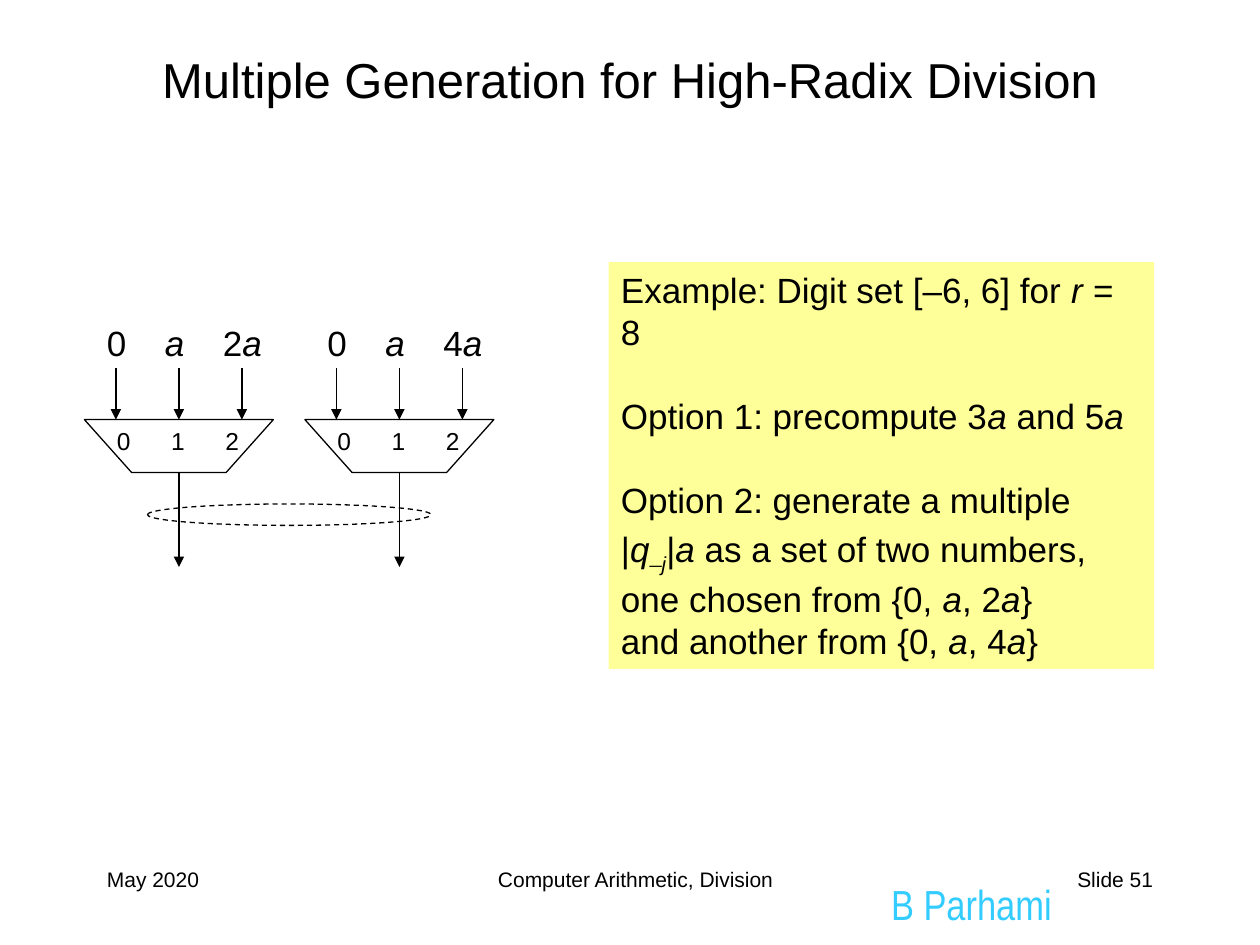
from dataclasses import dataclass
from typing import NamedTuple

from lxml import etree
from pptx import Presentation
from pptx.dml.color import RGBColor
from pptx.enum.dml import MSO_LINE
from pptx.enum.shapes import MSO_CONNECTOR, MSO_SHAPE
from pptx.enum.text import MSO_ANCHOR, PP_ALIGN
from pptx.oxml.ns import qn
from pptx.util import Inches, Pt

LEFT, CENTER, RIGHT = PP_ALIGN.LEFT, PP_ALIGN.CENTER, PP_ALIGN.RIGHT
TOP, MIDDLE = MSO_ANCHOR.TOP, MSO_ANCHOR.MIDDLE
STRAIGHT, OVAL, DASH = MSO_CONNECTOR.STRAIGHT, MSO_SHAPE.OVAL, MSO_LINE.DASH


@dataclass(frozen=True)
class Theme:
    ink: RGBColor = RGBColor(0x00, 0x00, 0x00)
    paper: RGBColor = RGBColor(0xFF, 0xFF, 0xFF)
    panel: RGBColor = RGBColor(0xFF, 0xFF, 0x99)
    author: RGBColor = RGBColor(0x33, 0xCC, 0xFF)
    font: str = "Arial"
    narrow_font: str = "Arial Narrow"
    symbol_font: str = "Times New Roman"
    title: float = 28
    author_size: float = 24
    symbol: float = 24
    body: float = 20
    port: float = 14
    footer: float = 12
    line: float = 0.75
    blank_line: float = 24


THEME = Theme()


class Run(NamedTuple):
    text: str
    italic: bool = False
    subscript: bool = False
    size: float | None = None
    font: str | None = None


class Para(NamedTuple):
    runs: list[Run]
    space_before: float = 0


class Mux(NamedTuple):
    left: float
    inputs: str


class Footer(NamedTuple):
    text: str
    left: float
    width: float
    align: PP_ALIGN


def rich(marked: str) -> list[Run]:
    """Split text into runs; parts between asterisks are italic."""
    return [Run(part, italic=i % 2 == 1)
            for i, part in enumerate(marked.split("*")) if part]


def add_text(slide, paras: list[Para], left: float, top: float, width: float,
             height: float, *, size: float, font: str = THEME.font,
             color: RGBColor = THEME.ink, align: PP_ALIGN = LEFT,
             anchor: MSO_ANCHOR = TOP, fill: RGBColor | None = None,
             tab_pitch: float = 0) -> None:
    box = slide.shapes.add_textbox(Inches(left), Inches(top), Inches(width), Inches(height))
    if fill is not None:
        box.fill.solid()
        box.fill.fore_color.rgb = fill
    frame = box.text_frame
    frame.word_wrap = True
    frame.vertical_anchor = anchor
    for i, para in enumerate(paras):
        paragraph = frame.add_paragraph() if i else frame.paragraphs[0]
        paragraph.alignment = align
        if para.space_before:
            paragraph.space_before = Pt(para.space_before)
        if tab_pitch:
            tabs = etree.SubElement(paragraph._p.get_or_add_pPr(), qn("a:tabLst"))
            for column in (1, 2):
                etree.SubElement(tabs, qn("a:tab"), algn="l",
                                 pos=str(Inches(column * tab_pitch)))
        for part in para.runs:
            run = paragraph.add_run()
            run.text = part.text
            run.font.size = Pt(part.size or size)
            run.font.name = part.font or font
            run.font.italic = part.italic
            run.font.color.rgb = color
            if part.subscript:
                run.font._element.set("baseline", "-25000")


def add_arrow(slide, x: float, top: float, bottom: float) -> None:
    arrow = slide.shapes.add_connector(STRAIGHT, Inches(x), Inches(top),
                                       Inches(x), Inches(bottom))
    arrow.line.color.rgb = THEME.ink
    arrow.line.width = Pt(THEME.line)
    etree.SubElement(arrow.line._get_or_add_ln(), qn("a:tailEnd"), type="triangle")
    etree.SubElement(arrow._element.spPr, qn("a:effectLst"))


def add_mux(slide, mux: Mux) -> None:
    """Draw a three-way multiplexer with its inputs and output."""
    x, top, bottom, width, slant = mux.left, 3.33, 3.75, 1.5, 0.375
    corners = [(x + slant, bottom), (x + width - slant, bottom), (x + width, top)]
    builder = slide.shapes.build_freeform(Inches(x), Inches(top))
    builder.add_line_segments([(Inches(cx), Inches(cy)) for cx, cy in corners])
    body = builder.convert_to_shape()
    body.shadow.inherit = False
    body.fill.solid()
    body.fill.fore_color.rgb = THEME.paper
    body.line.color.rgb = THEME.ink
    body.line.width = Pt(THEME.line)

    for port in range(3):
        add_arrow(slide, x + 0.25 + 0.5 * port, 2.92, top)
    add_arrow(slide, x + width / 2, bottom, 4.5)
    add_text(slide, [Para(rich("0\t1\t2"))], x + 0.16, top, 1.25, 0.34,
             size=THEME.port, tab_pitch=0.43)
    add_text(slide, [Para(rich(mux.inputs))], x + 0.08, 2.5, 1.5, 0.44,
             size=THEME.body, tab_pitch=0.46)


def add_output_pair(slide) -> None:
    """Ring the two outputs that together form the multiple."""
    ring = slide.shapes.add_shape(OVAL, Inches(1.17), Inches(4), Inches(2.25), Inches(0.17))
    ring.shadow.inherit = False
    ring.fill.background()
    ring.line.color.rgb = THEME.ink
    ring.line.width = Pt(THEME.line)
    ring.line.dash_style = DASH


MUXES = [Mux(0.67, "0\t*a*\t2*a*"), Mux(2.42, "0\t*a*\t4*a*")]

FOOTERS = [
    Footer("May 2020", 0.75, 2.08, LEFT),
    Footer("Computer Arithmetic, Division", 2.42, 5.25, CENTER),
    Footer("Slide 51", 7.17, 2.08, RIGHT),
]

QUOTIENT_DIGIT = [
    *rich("|*q*"),
    Run("–", subscript=True, size=THEME.symbol, font=THEME.symbol_font),
    Run("j", italic=True, subscript=True),
]

EXAMPLE = [
    Para(rich("Example: Digit set [–6, 6] for *r = *8")),
    Para(rich("Option 1: precompute 3*a* and 5*a*"), THEME.blank_line),
    Para(rich("Option 2: generate a multiple"), THEME.blank_line),
    Para(QUOTIENT_DIGIT + rich("|*a* as a set of two numbers,")),
    Para(rich("one chosen from {0, *a*, 2*a*}")),
    Para(rich("and another from {0, *a*, 4*a*}")),
]


def main() -> None:
    deck = Presentation()
    deck.slide_width, deck.slide_height = Inches(10), Inches(7.5)
    slide = deck.slides.add_slide(deck.slide_layouts[6])

    add_text(slide, [Para(rich("B Parhami"))], 6.96, 6.92, 1.5, 0.42,
             size=THEME.author_size, font=THEME.narrow_font,
             color=THEME.author, align=CENTER)
    for footer in FOOTERS:
        add_text(slide, [Para(rich(footer.text))], footer.left, 6.83, footer.width, 0.5,
                 size=THEME.footer, align=footer.align)
    add_text(slide, [Para(rich("Multiple Generation for High-Radix Division"))],
             0.25, 0.25, 9.5, 0.75, size=THEME.title, align=CENTER, anchor=MIDDLE)
    add_text(slide, EXAMPLE, 4.83, 2.08, 4.33, 3.23, size=THEME.body, fill=THEME.panel)
    for mux in MUXES:
        add_mux(slide, mux)
    add_output_pair(slide)
    deck.save("out.pptx")


if __name__ == "__main__":
    main()
